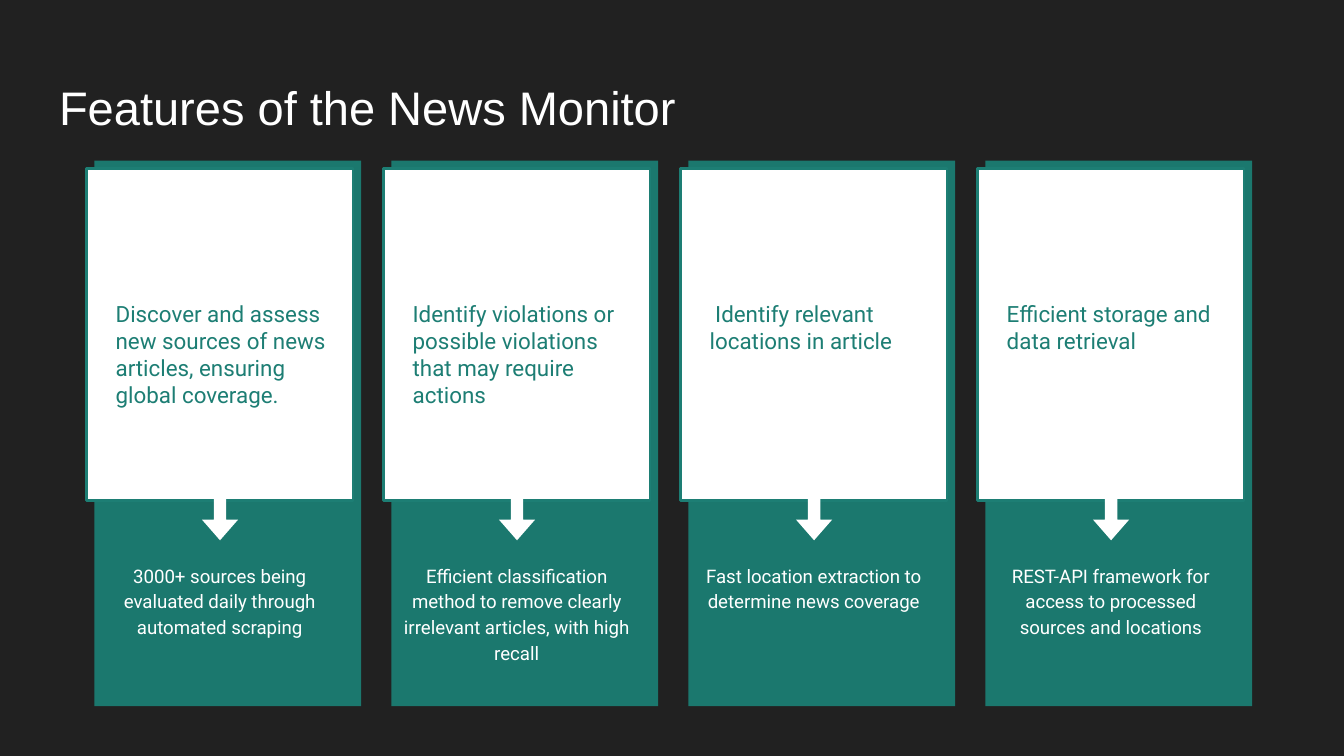
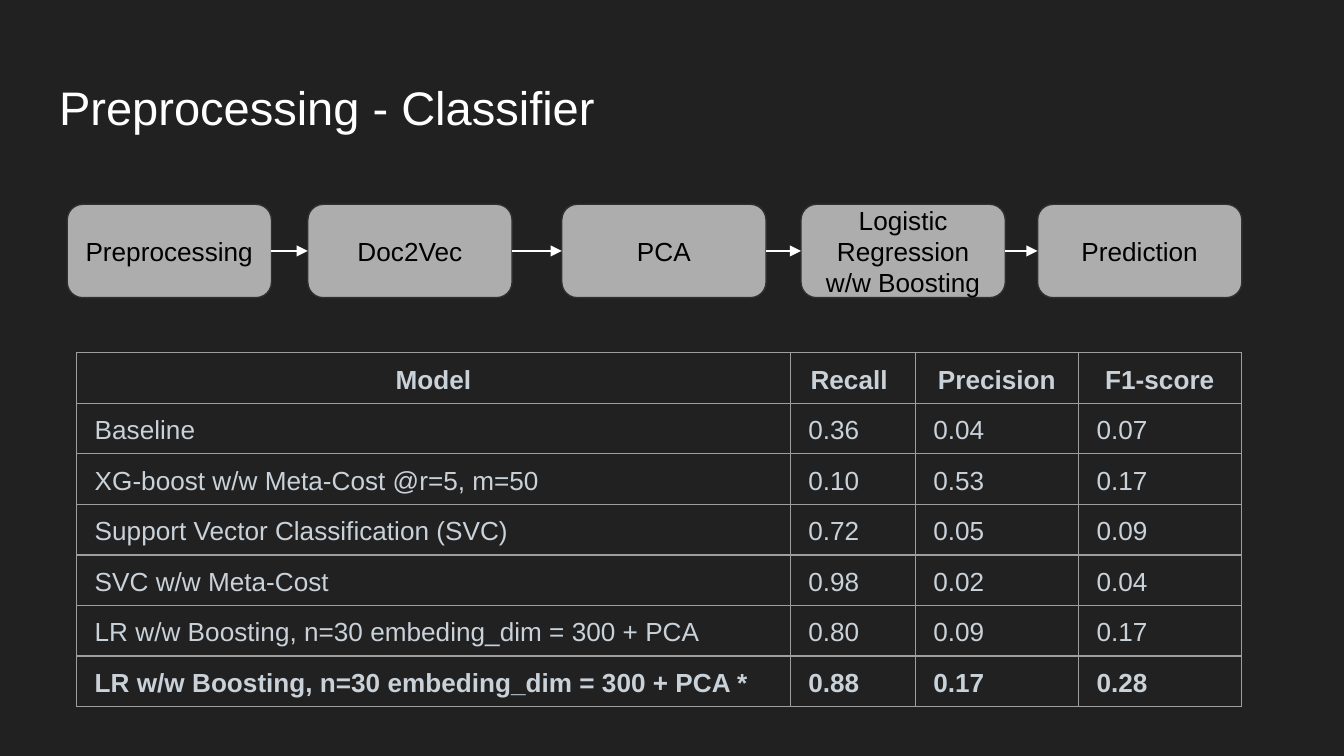
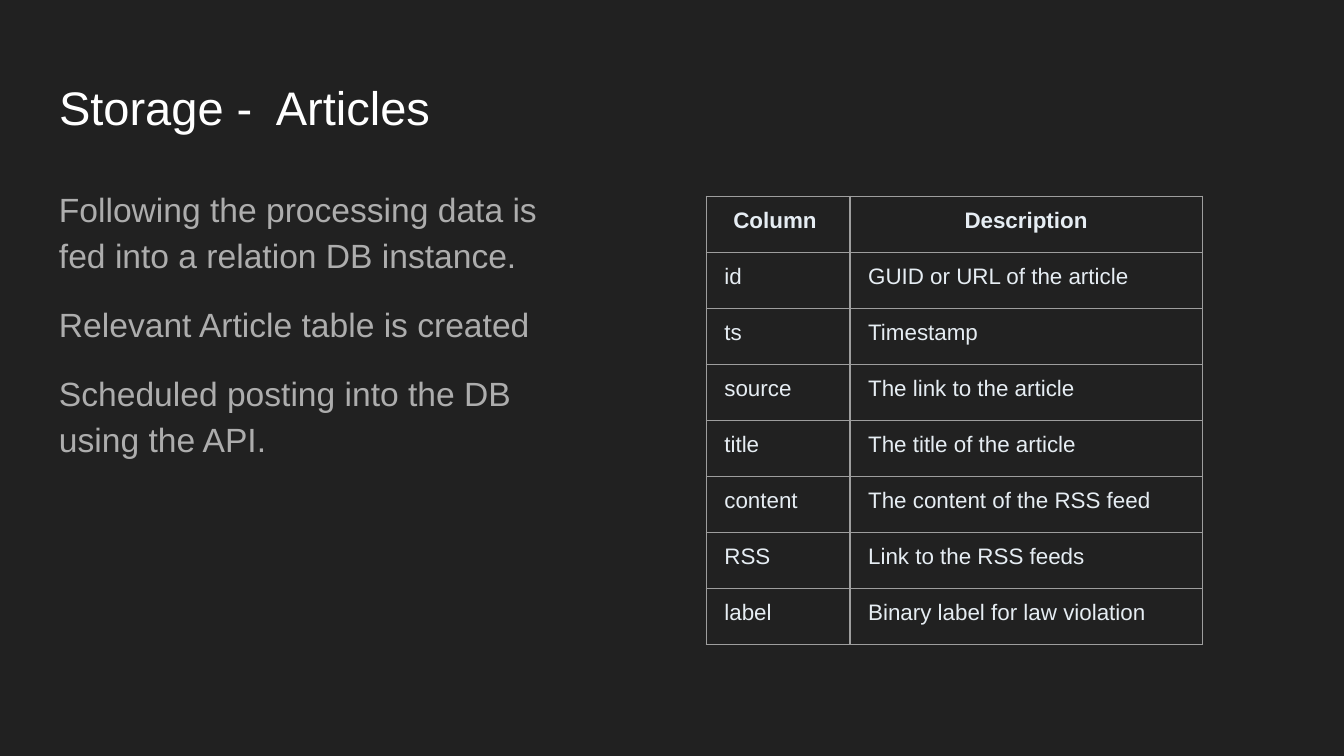
from itertools import pairwise

from lxml import etree
from pptx import Presentation
from pptx import util as u
from pptx.dml.color import RGBColor
from pptx.enum import shapes, text
from pptx.oxml import ns

COLORS = {
    "background": "212121",
    "white": "FFFFFF",
    "black": "000000",
    "card_back": "1B786E",
    "card_edge": "1D7E74",
    "step": "ADADAD",
    "step_edge": "303030",
    "body": "ADADAD",
    "border": "9E9E9E",
    "model_text": "C9D1D9",
    "column_text": "E6EDF3",
}

WIDTH = u.Inches(10)
HEIGHT = WIDTH * 9 // 16
UNIT = WIDTH / 100

FEATURES = [
    (
        "Discover and assess new sources of news articles, ensuring global coverage.",
        "3000+ sources being evaluated daily through automated scraping",
    ),
    (
        "Identify violations or possible violations that may require actions",
        "Efficient classification method to remove clearly irrelevant articles, with high recall",
    ),
    (
        " Identify relevant locations in article",
        "Fast location extraction to determine news coverage",
    ),
    (
        "Efficient storage and data retrieval",
        "REST-API framework for access to processed sources and locations",
    ),
]

STEPS = [
    ("Preprocessing", 5),
    ("Doc2Vec", 22.9),
    ("PCA", 41.8),
    ("Logistic Regression w/w Boosting", 59.6),
    ("Prediction", 77.2),
]

MODELS = [
    ("Model", "Recall ", "Precision", "F1-score"),
    ("Baseline", "0.36", "0.04", "0.07"),
    ("XG-boost w/w Meta-Cost @r=5, m=50", "0.10", "0.53", "0.17"),
    ("Support Vector Classification (SVC)", "0.72", "0.05", "0.09"),
    ("SVC w/w Meta-Cost", "0.98", "0.02", "0.04"),
    ("LR w/w Boosting, n=30 embeding_dim = 300 + PCA", "0.80", "0.09", "0.17"),
    ("LR w/w Boosting, n=30 embeding_dim = 300 + PCA *", "0.88", "0.17", "0.28"),
]

STORAGE_POINTS = [
    "Following the processing data is fed into a relation DB instance.",
    "Relevant Article table is created",
    "Scheduled posting into the DB using the API.",
]

ARTICLE_COLUMNS = [
    ("Column ", "Description"),
    ("id", "GUID or URL of the article"),
    ("ts", "Timestamp"),
    ("source", "The link to the article"),
    ("title", "The title of the article"),
    ("content", "The content of the RSS feed"),
    ("RSS", "Link to the RSS feeds"),
    ("label", "Binary label for law violation"),
]

MARGINS = ("margin_left", "margin_top", "margin_right", "margin_bottom")
CENTER = {"alignment": text.PP_ALIGN.CENTER}
LOOSE = {"line_spacing": 1.15}
CELL = LOOSE | {"space_after": u.Pt(12)}


def grid(*units):
    return [round(unit * UNIT) for unit in units]


def rgb(name):
    return RGBColor.from_string(COLORS[name])


def apply(target, values):
    for name, value in values.items():
        setattr(target, name, value)


def write(paragraph, words, size, color, font="Arial", bold=False, **layout):
    run = paragraph.add_run()
    run.text = words
    apply(run.font, {"name": font, "size": u.Pt(size), "bold": bold})
    run.font.color.rgb = rgb(color)
    apply(paragraph, layout)


def frame_text(frame, anchor=text.MSO_ANCHOR.TOP):
    margins = dict.fromkeys(MARGINS, u.Inches(0.1))
    apply(frame, margins | {"word_wrap": True, "vertical_anchor": anchor})
    return frame.paragraphs[0]


def add_text(parent, area, words, size, color, anchor=text.MSO_ANCHOR.TOP, **style):
    box = parent.shapes.add_textbox(*grid(*area))
    write(frame_text(box.text_frame, anchor), words, size, color, **style)
    return box


def add_block(parent, kind, area, fill, edge=None, weight=0.75):
    shape = parent.shapes.add_shape(kind, *grid(*area))
    shape.shadow.inherit = False
    shape.fill.solid()
    shape.fill.fore_color.rgb = rgb(fill)
    if edge:
        shape.line.color.rgb = rgb(edge)
        shape.line.width = u.Pt(weight)
    else:
        shape.line.fill.background()
    return shape


def add_arrow(slide, start, end):
    arrow = slide.shapes.add_connector(shapes.MSO_CONNECTOR.STRAIGHT, 0, 0, 0, 0)
    arrow.begin_connect(start, 3)
    arrow.end_connect(end, 1)
    arrow.line.color.rgb = rgb("white")
    arrow.line.width = u.Pt(0.75)
    etree.SubElement(arrow.line._get_or_add_ln(), ns.qn("a:tailEnd"), type="triangle")
    etree.SubElement(arrow._element.spPr, ns.qn("a:effectLst"))


def add_borders(cell):
    properties = cell._tc.get_or_add_tcPr()
    for side in "LRTB":
        line = etree.SubElement(properties, ns.qn(f"a:ln{side}"), w=str(u.Pt(0.75)))
        fill = etree.SubElement(line, ns.qn("a:solidFill"))
        etree.SubElement(fill, ns.qn("a:srgbClr"), val=COLORS["border"])


def add_grid_table(slide, corner, widths, row_height, rows, size, color, bold_rows):
    area = grid(*corner, sum(widths), row_height * len(rows))
    table = slide.shapes.add_table(len(rows), len(widths), *area).table
    apply(table, {"first_row": False, "horz_banding": False})
    for column, width in zip(table.columns, grid(*widths)):
        column.width = width
    margins = dict(zip(MARGINS, grid(1.35, 0.6, 1.35, 0.48)))
    for row_index, values in enumerate(rows):
        table.rows[row_index].height = grid(row_height)[0]
        layout = CELL | (CENTER if row_index == 0 else {})
        for column_index, value in enumerate(values):
            cell = table.cell(row_index, column_index)
            apply(cell, margins)
            add_borders(cell)
            cell.fill.background()
            write(cell.text_frame.paragraphs[0], value, size, color,
                  bold=row_index in bold_rows, **layout)


def new_slide(presentation, title):
    slide = presentation.slides.add_slide(presentation.slide_layouts[6])
    slide.background.fill.solid()
    slide.background.fill.fore_color.rgb = rgb("background")
    add_text(slide, (3.41, 4.82, 93.2, 6.3), title, 25.2, "white",
             anchor=text.MSO_ANCHOR.MIDDLE)
    return slide


def add_feature_card(slide, left, goal, method):
    card = slide.shapes.add_group_shape()
    rectangle = shapes.MSO_SHAPE.RECTANGLE
    add_block(card, rectangle, (left + 0.6, 11.95, 19.85, 40.6), "card_back")
    add_block(card, rectangle, (left, 12.55, 19.85, 24.7), "white", "card_edge", 1.5)
    add_text(card, (left + 1.2, 21.35, 17.8, 6.1), goal, 12, "card_edge", font="Roboto")
    arrow = add_block(card, shapes.MSO_SHAPE.RIGHT_ARROW,
                      (left + 8, 36.9, 3.9, 2.7), "white")
    arrow.rotation = 90
    arrow.adjustments[0], arrow.adjustments[1] = 0.34, 0.57
    add_text(card, (left, 40.75, 19.85, 10.8), method, 10, "white", font="Roboto",
             **CENTER, **LOOSE)


def build_features(presentation):
    slide = new_slide(presentation, "Features of the News Monitor")
    for index, (goal, method) in enumerate(FEATURES):
        add_feature_card(slide, 6.42 + 22.1 * index, goal, method)


def build_classifier(presentation):
    slide = new_slide(presentation, "Preprocessing - Classifier")
    add_grid_table(slide, (5.7, 26.25), (53.1, 9.3, 12.15, 12.1), 2.5, MODELS, 14,
                   "model_text", bold_rows=(0, len(MODELS) - 1))
    boxes = []
    for name, left in STEPS:
        box = add_block(slide, shapes.MSO_SHAPE.FLOWCHART_ALTERNATE_PROCESS,
                        (left, 15.2, 15.2, 6.95), "step", "step_edge")
        write(frame_text(box.text_frame, text.MSO_ANCHOR.MIDDLE), name, 14, "black",
              **CENTER)
        boxes.append(box)
    for start, end in pairwise(boxes):
        add_arrow(slide, start, end)


def build_storage(presentation):
    slide = new_slide(presentation, "Storage -  Articles")
    first, *others = STORAGE_POINTS
    body = add_text(slide, (3.41, 12.6, 41, 37.4), first, 18, "body", **LOOSE)
    for point in others:
        write(body.text_frame.add_paragraph(), point, 18, "body",
              space_before=u.Pt(12), **LOOSE)
    add_grid_table(slide, (52.55, 14.6), (10.7, 26.2), 4.17, ARTICLE_COLUMNS, 12,
                   "column_text", bold_rows=(0,))


def main():
    presentation = Presentation()
    apply(presentation, {"slide_width": WIDTH, "slide_height": HEIGHT})
    for build in (build_features, build_classifier, build_storage):
        build(presentation)
    presentation.save("out.pptx")


if __name__ == "__main__":
    main()
